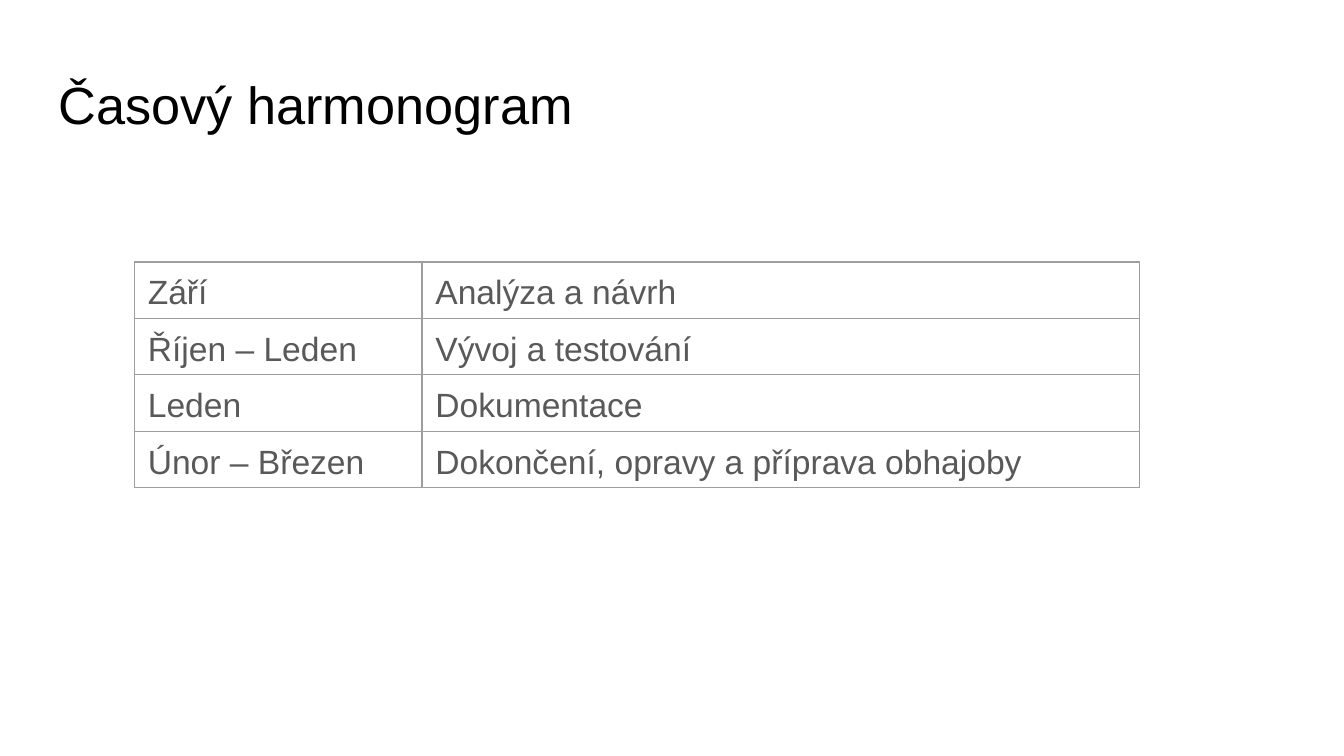
from lxml import etree
from pptx import Presentation, util as u
from pptx.dml.color import RGBColor
from pptx.enum import text
from pptx.oxml import ns

WIDTH = u.Inches(10)
HEIGHT = WIDTH * 9 // 16
BLACK = RGBColor(0x00, 0x00, 0x00)
GREY = RGBColor(0x59, 0x59, 0x59)
BORDER = RGBColor(0x9E, 0x9E, 0x9E)
FONT = "Arial"
SCHEDULE = [
    ("Září", "Analýza a návrh"),
    ("Říjen – Leden", "Vývoj a testování"),
    ("Leden", "Dokumentace"),
    ("Únor – Březen", "Dokončení, opravy a příprava obhajoby"),
]


def write(frame, words, size, color, spacing):
    """Fill a text frame with one styled paragraph and return the paragraph."""
    frame.text = words
    paragraph = frame.paragraphs[0]
    paragraph.alignment = text.PP_ALIGN.LEFT
    paragraph.line_spacing = spacing
    font = paragraph.runs[0].font
    font.name, font.size, font.color.rgb = FONT, u.Pt(size), color
    return paragraph


def outline(cell):
    """Draw a thin border on all four sides of a table cell."""
    properties = cell._tc.get_or_add_tcPr()
    for index, side in enumerate(("lnL", "lnR", "lnT", "lnB")):
        line = etree.Element(ns.qn(f"a:{side}"), w=str(u.Pt(0.75)))
        fill = etree.SubElement(line, ns.qn("a:solidFill"))
        etree.SubElement(fill, ns.qn("a:srgbClr"), val=str(BORDER))
        properties.insert(index, line)


def add_heading(slide, left, top, width, height):
    """Place the slide heading in the given box."""
    frame = slide.shapes.add_textbox(left, top, width, height).text_frame
    frame.word_wrap = True
    frame.vertical_anchor = text.MSO_ANCHOR.TOP
    frame.margin_left = frame.margin_right = u.Inches(0.1)
    frame.margin_top = frame.margin_bottom = u.Inches(0.1)
    write(frame, "Časový harmonogram", 28, BLACK, 0.9)


def add_schedule(slide, left, top, width, height):
    """Place the table of months and tasks in the given box."""
    table = slide.shapes.add_table(
        len(SCHEDULE), 2, left, top, width, height).table
    table.first_row = table.horz_banding = False
    months_width = u.Inches(2.14)
    table.columns[0].width = months_width
    table.columns[1].width = width - months_width
    for row, entries in enumerate(SCHEDULE):
        for column, entry in enumerate(entries):
            cell = table.cell(row, column)
            cell.fill.background()
            cell.margin_left = cell.margin_right = u.Inches(0.1)
            cell.margin_top, cell.margin_bottom = u.Inches(0.05), u.Inches(0.02)
            write(cell.text_frame, entry, 18, GREY, 1.15).space_after = u.Pt(12)
            outline(cell)


def main():
    """Build and save the slide."""
    deck = Presentation()
    deck.slide_width, deck.slide_height = WIDTH, HEIGHT
    slide = deck.slides.add_slide(deck.slide_layouts[6])
    margin = u.Inches(0.34)
    add_heading(slide, margin, u.Inches(0.49), WIDTH - 2 * margin, u.Inches(0.63))
    add_schedule(slide, WIDTH // 10, u.Inches(1.95), u.Inches(7.48),
                 len(SCHEDULE) * u.Inches(0.42))
    deck.save("out.pptx")


if __name__ == "__main__":
    main()
